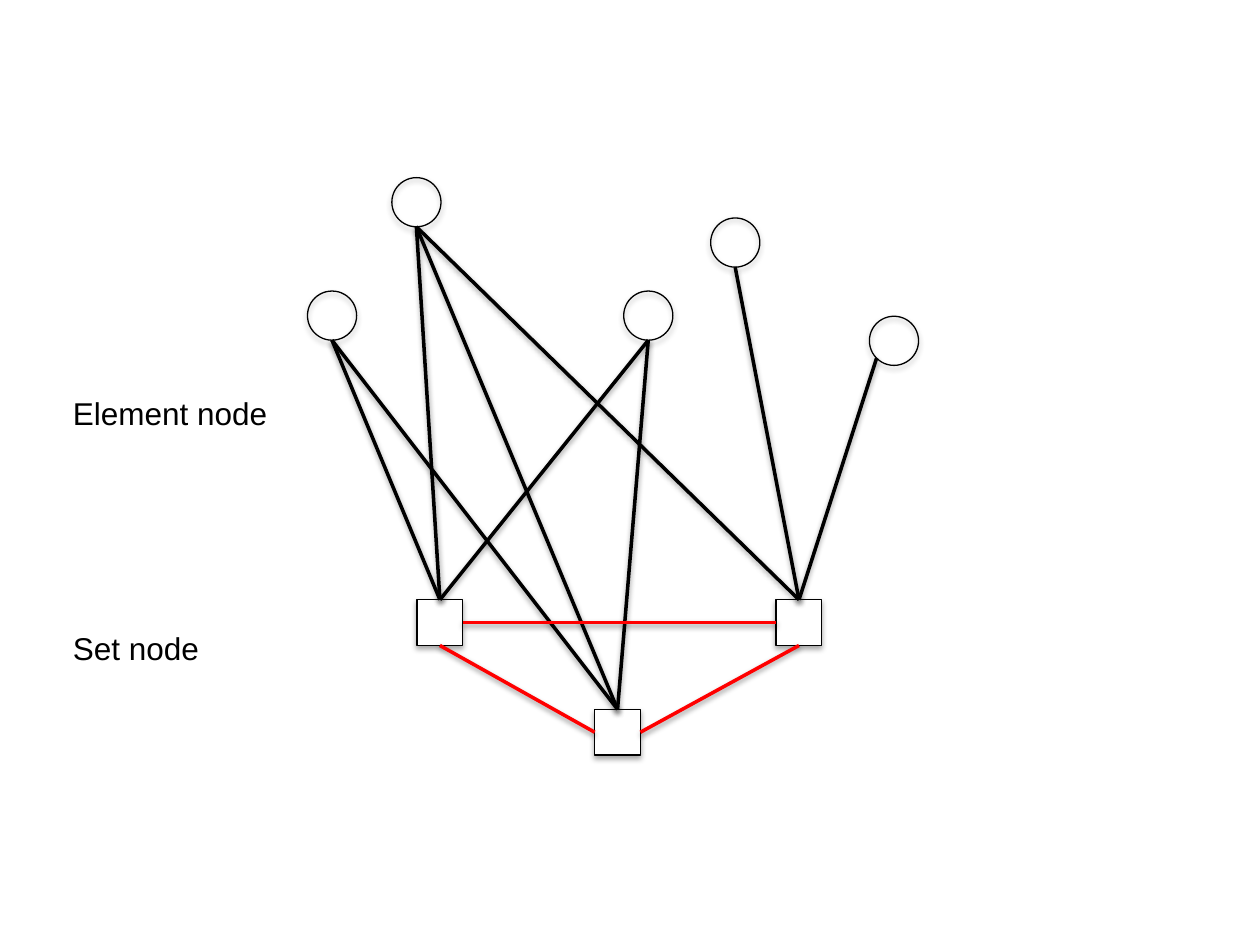
import dataclasses
import math

import lxml.etree
import pptx
import pptx.dml.color
import pptx.enum.shapes
import pptx.enum.text
import pptx.oxml.ns
import pptx.util

COLUMNS, ROWS = 100, 75  # square grid over the slide
CELL = pptx.util.Inches(0.1)
CIRCLE, SQUARE = 3.9, 3.63  # node sizes in cells
TOP, LEFT, BOTTOM, RIGHT = range(4)
BLACK, WHITE, RED = "000000", "FFFFFF", "FF0000"


@dataclasses.dataclass(frozen=True)
class Node:
    column: float
    row: float


@dataclasses.dataclass(frozen=True)
class Membership:
    element: str
    set_name: str
    angle: float = 90  # where the line leaves the circle, clockwise from the right


@dataclasses.dataclass(frozen=True)
class SetLink:
    start: str
    start_side: int
    end: str
    end_side: int


@dataclasses.dataclass(frozen=True)
class Label:
    text: str
    column: float
    row: float
    width: float


ELEMENTS = {
    "upper left": Node(31.1, 14.1),
    "far right": Node(69, 25.1),
    "middle": Node(49.5, 23.1),
    "upper right": Node(56.4, 17.3),
    "far left": Node(24.4, 23.1),
}
SETS = {"left": Node(33.1, 47.6), "right": Node(61.6, 47.6), "bottom": Node(47.2, 56.3)}
MEMBERSHIPS = [
    *(Membership(element, set_name) for set_name in ("left", "bottom")
      for element in ("far left", "upper left", "middle")),
    Membership("upper right", "right"),
    Membership("far right", "right", 135),
    Membership("upper left", "right"),
]
SET_LINKS = [
    SetLink("left", BOTTOM, "bottom", LEFT),
    SetLink("left", RIGHT, "right", LEFT),
    SetLink("bottom", RIGHT, "right", BOTTOM),
]
LABELS = [Label("Element node", 4.8, 30.8, 17.6), Label("Set node", 4.8, 49.4, 12.1)]


def cells(count: float) -> int:
    return round(count * CELL)


def color(value: str) -> pptx.dml.color.RGBColor:
    return pptx.dml.color.RGBColor.from_string(value)


def style_line(shape, value: str, width: float) -> None:
    shape.line.color.rgb = color(value)
    shape.line.width = pptx.util.Pt(width)


def add_shadow(shape, distance: int, opacity: int) -> None:
    """Soft black shadow straight below; opacity in percent."""
    qn = pptx.oxml.ns.qn
    effects = lxml.etree.SubElement(shape._element.spPr, qn("a:effectLst"))
    shadow = lxml.etree.SubElement(
        effects, qn("a:outerShdw"), blurRad="40000", dist=str(distance),
        dir="5400000", rotWithShape="0")
    black = lxml.etree.SubElement(shadow, qn("a:srgbClr"), val=BLACK)
    lxml.etree.SubElement(black, qn("a:alpha"), val=str(opacity * 1000))


def add_node(slide, node: Node, kind, size: float, fill: str | None):
    shape = slide.shapes.add_shape(
        kind, cells(node.column), cells(node.row), cells(size), cells(size))
    if fill is None:
        shape.fill.background()
    else:
        shape.fill.solid()
        shape.fill.fore_color.rgb = color(fill)
    style_line(shape, BLACK, 0.75)
    add_shadow(shape, 23000, 35)
    return shape


def add_line(slide, value: str, column: float = 0, row: float = 0):
    x, y = cells(column), cells(row)
    line = slide.shapes.add_connector(
        pptx.enum.shapes.MSO_CONNECTOR.STRAIGHT, x, y, x, y)
    style_line(line, value, 2)
    add_shadow(line, 20000, 38)
    return line


def add_membership(slide, membership: Membership, squares: dict) -> None:
    node = ELEMENTS[membership.element]
    angle, radius = math.radians(membership.angle), CIRCLE / 2
    line = add_line(slide, BLACK,
                    node.column + radius * (1 + math.cos(angle)),
                    node.row + radius * (1 + math.sin(angle)))
    line.end_connect(squares[membership.set_name], TOP)


def add_set_link(slide, link: SetLink, squares: dict) -> None:
    line = add_line(slide, RED)
    line.begin_connect(squares[link.start], link.start_side)
    line.end_connect(squares[link.end], link.end_side)


def add_label(slide, label: Label) -> None:
    box = slide.shapes.add_textbox(
        cells(label.column), cells(label.row), cells(label.width), cells(4))
    frame = box.text_frame
    frame.word_wrap = False
    frame.auto_size = pptx.enum.text.MSO_AUTO_SIZE.SHAPE_TO_FIT_TEXT
    paragraph = frame.paragraphs[0]
    paragraph.text = label.text
    paragraph.font.name = "Arial"
    paragraph.font.size = pptx.util.Pt(18)
    paragraph.font.color.rgb = color(BLACK)


def main() -> None:
    presentation = pptx.Presentation()
    presentation.slide_width = cells(COLUMNS)
    presentation.slide_height = cells(ROWS)
    slide = presentation.slides.add_slide(presentation.slide_layouts[6])
    kinds = pptx.enum.shapes.MSO_SHAPE

    # Element nodes and set nodes
    for node in ELEMENTS.values():
        add_node(slide, node, kinds.OVAL, CIRCLE, None)
    squares = {name: add_node(slide, node, kinds.RECTANGLE, SQUARE, WHITE)
               for name, node in SETS.items()}

    # Lines from elements to sets, then between sets
    for membership in MEMBERSHIPS:
        add_membership(slide, membership, squares)
    for link in SET_LINKS:
        add_set_link(slide, link, squares)

    # Row labels
    for label in LABELS:
        add_label(slide, label)

    presentation.save("out.pptx")


if __name__ == "__main__":
    main()
